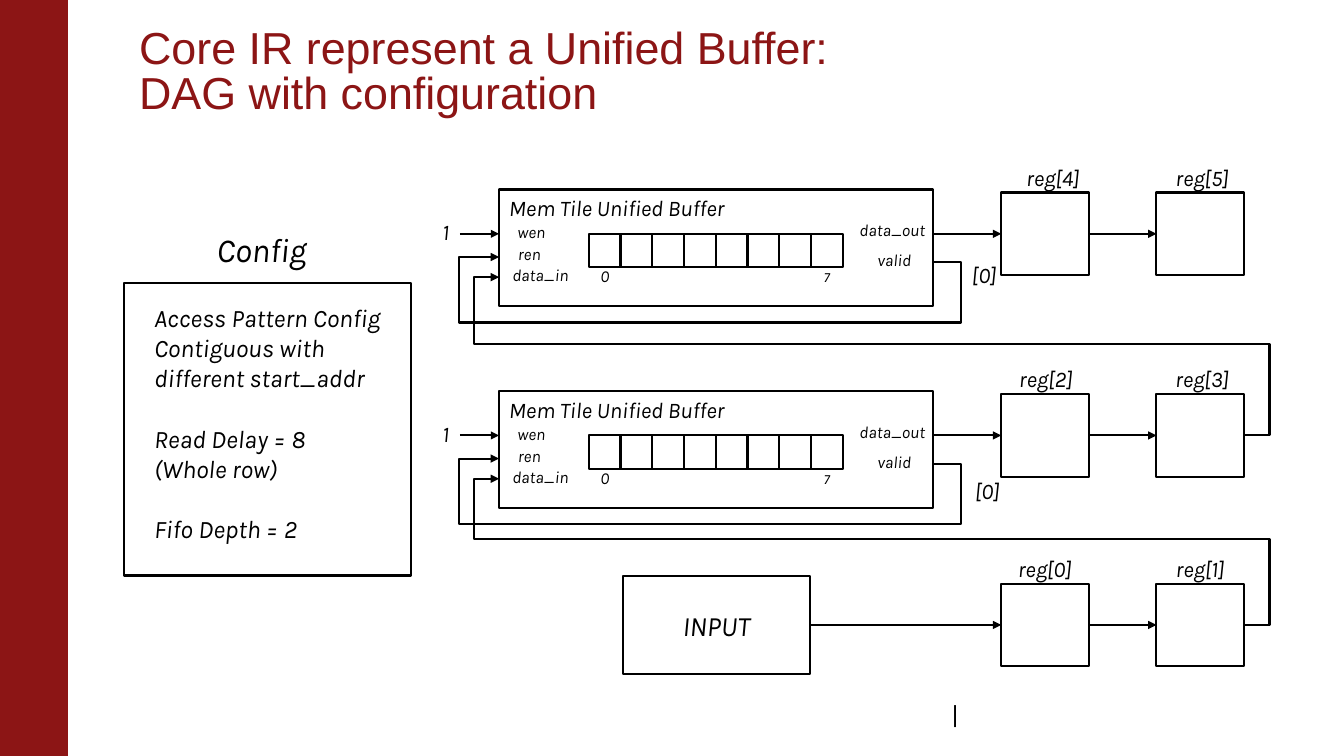
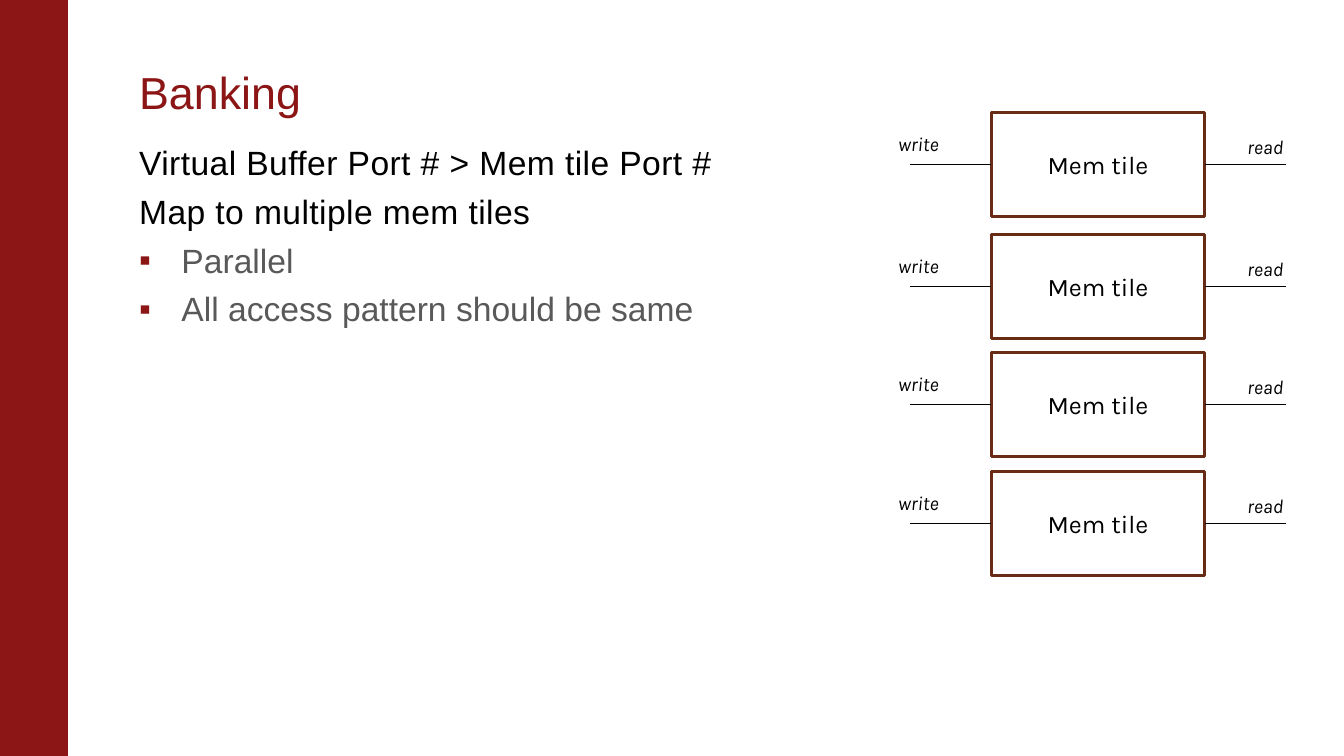
from lxml import etree
from pptx import Presentation
from pptx.dml.color import RGBColor
from pptx.enum import shapes as s, text as t
from pptx.oxml.ns import qn
from pptx.util import Inches, Pt

COLORS = {"cardinal": "8C1515", "brown": "682C16", "gray": "595959",
          "black": "000000", "white": "FFFFFF"}
SANS, DIAGRAM = "Arial", "Karla"
LEFT, CENTER = t.PP_ALIGN.LEFT, t.PP_ALIGN.CENTER
TOP, MIDDLE = t.MSO_ANCHOR.TOP, t.MSO_ANCHOR.MIDDLE

# Buffer diagram grid, in inches
BUFFER_LEFT, BUFFER_W, BUFFER_H = 4.95, 4.3, 1.16
PORT_DY = 0.44
REG_COLUMNS, REG_W, REG_H = (9.93, 11.47), 0.87, 0.82
FIFO_CELLS, CELL_LEFT, CELL_PITCH, CELL_H = 8, 5.84, 0.315, 0.33


def rgb(name):
    return RGBColor.from_string(COLORS[name])


def box(*lengths):
    return [Inches(value) for value in lengths]


# Text
def add_run(paragraph, content, size, color="black", font=DIAGRAM, italic=False):
    run = paragraph.add_run()
    run.text = content
    run.font.size, run.font.name, run.font.italic = Pt(size), font, italic
    run.font.color.rgb = rgb(color)
    return run


def write(frame, content, size, align=LEFT, anchor=TOP, italic=True, wrap=True):
    frame.word_wrap = wrap
    frame.vertical_anchor = anchor
    paragraph = frame.paragraphs[0]
    paragraph.alignment = align
    add_run(paragraph, content, size, italic=italic)


def add_text(slide, content, at, size, **style):
    label = slide.shapes.add_textbox(*box(*at))
    write(label.text_frame, content, size, **style)


def add_label(slide, content, x, y, size, w=1.0, h=0.6):
    """Label centred on the point x, y."""
    add_text(slide, content, (x - w / 2, y - h / 2, w, h), size,
             align=CENTER, anchor=MIDDLE)


# Boxes and lines
def add_box(slide, at, line="black", width=1.5, fill=None):
    rect = slide.shapes.add_shape(s.MSO_SHAPE.RECTANGLE, *box(*at))
    rect.shadow.inherit = False
    if fill:
        rect.fill.solid()
        rect.fill.fore_color.rgb = rgb(fill)
    else:
        rect.fill.background()
    rect.line.color.rgb = rgb(line)
    rect.line.width = Pt(width)
    return rect


def add_wire(slide, start, end, source=None, target=None, width=1.5,
             arrow=True, kind=s.MSO_CONNECTOR.STRAIGHT):
    """Line from start to end; source and target are (shape, side) joints."""
    wire = slide.shapes.add_connector(kind, *box(*start, *end))
    if source:
        wire.begin_connect(*source)
    if target:
        wire.end_connect(*target)
    wire.line.color.rgb = rgb("black")
    wire.line.width = Pt(width)
    properties = wire._element.spPr
    if arrow:
        etree.SubElement(properties.find(qn("a:ln")), qn("a:tailEnd"), type="triangle")
    etree.SubElement(properties, qn("a:effectLst"))
    return wire


def add_loop(slide, start, end, right, y, left):
    """Arrow that leaves to the right, runs back at y and enters from the left."""
    wire = add_wire(slide, start, end, kind=s.MSO_CONNECTOR.ELBOW)
    geometry = wire._element.spPr.find(qn("a:prstGeom"))
    geometry.set("prst", "bentConnector5")
    guides = geometry.find(qn("a:avLst"))
    if guides is None:
        guides = etree.SubElement(geometry, qn("a:avLst"))
    (x0, y0), (x1, y1) = start, end
    ratios = ((right - x0) / (x1 - x0), (y - y0) / (y1 - y0), (left - x0) / (x1 - x0))
    for number, ratio in enumerate(ratios, 1):
        etree.SubElement(guides, qn("a:gd"), name=f"adj{number}",
                         fmla=f"val {round(ratio * 100000)}")


# Shared slide parts
def add_master_band(prs, slide):
    band = add_box(slide, (0, 0, 0.67, 7.51), "cardinal", 0.75, "cardinal")
    title = prs.slide_master.placeholders[0]
    title._element.getparent().insert(2, band._element)


def place(placeholder, at):
    (placeholder.left, placeholder.top,
     placeholder.width, placeholder.height) = box(*at)
    frame = placeholder.text_frame
    frame.auto_size = t.MSO_AUTO_SIZE.NONE
    frame.word_wrap = True
    frame.margin_left = 0
    return frame


def set_title(slide, *lines):
    frame = place(slide.shapes.title, (1.38, 0.52, 11.24, 0.71))
    frame.vertical_anchor = t.MSO_ANCHOR.BOTTOM
    paragraph = frame.paragraphs[0]
    paragraph.alignment = LEFT
    paragraph.line_spacing = 0.85
    for index, line in enumerate(lines):
        if index:
            paragraph.add_line_break()
        add_run(paragraph, line, 32, "cardinal", SANS)


# Slide 1 parts
def add_config(slide):
    add_box(slide, (1.23, 2.81, 2.85, 2.9))
    add_text(slide, "Config", (2.05, 2.22, 1.09, 0.5), 24, wrap=False)
    settings = slide.shapes.add_textbox(*box(1.43, 2.95, 2.5, 2.7)).text_frame
    settings.word_wrap = True
    lines = (("Access Pattern Config", 0),
             ("Contiguous with different start_addr", 0),
             ("Read Delay = 8", 21.5), ("(Whole row)", 0),
             ("Fifo Depth = 2", 21.5))
    for index, (line, gap) in enumerate(lines):
        paragraph = settings.add_paragraph() if index else settings.paragraphs[0]
        paragraph.space_before = Pt(gap)
        add_run(paragraph, line, 18, italic=True)


def add_register_pair(slide, y, first, label_x):
    """Two linked registers on the row centred at y; returns both."""
    pair = [add_box(slide, (x, y - REG_H / 2, REG_W, REG_H)) for x in REG_COLUMNS]
    for number, x in enumerate(label_x, first):
        add_label(slide, f"reg[{number}]", x, y - 0.56, 16)
    add_wire(slide, (REG_COLUMNS[0] + REG_W, y), (REG_COLUMNS[1], y),
             (pair[0], 3), (pair[1], 1))
    return pair


def add_buffer(slide, top, register, index_at, data_from_y, data_loop_y):
    """Unified buffer with its FIFO cells, ports, output and feedback loops."""
    right = BUFFER_LEFT + BUFFER_W
    buffer = add_box(slide, (BUFFER_LEFT, top, BUFFER_W, BUFFER_H))
    write(buffer.text_frame, "Mem Tile Unified Buffer", 16)
    for cell in range(FIFO_CELLS):
        add_box(slide, (CELL_LEFT + cell * CELL_PITCH, top + PORT_DY,
                        CELL_PITCH, CELL_H))
    ports = (("wen", 5.27, 0.42, 12), ("ren", 5.25, 0.64, 12),
             ("data_in", 5.36, 0.85, 12), ("data_out", 8.85, 0.4, 12),
             ("valid", 8.87, 0.7, 12), ("0", 6.0, 0.86, 12), ("7", 8.2, 0.87, 10),
             ("1", 4.42, 0.42, 16))
    for name, x, dy, size in ports:
        add_label(slide, name, x, top + dy, size)
    add_label(slide, "[0]", *index_at, 16)

    port_y = top + PORT_DY
    add_wire(slide, (4.56, port_y), (BUFFER_LEFT, port_y))
    add_wire(slide, (right, port_y), (REG_COLUMNS[0], port_y), target=(register, 1))
    add_loop(slide, (right, top + 0.72), (BUFFER_LEFT, top + 0.67),
             9.53, top + 1.32, 4.55)
    add_loop(slide, (REG_COLUMNS[1] + REG_W, data_from_y),
             (BUFFER_LEFT, top + 0.87), 12.59, data_loop_y, 4.7)


def build_buffer_slide(slide):
    set_title(slide, "Core IR represent a Unified Buffer:", "DAG with configuration")
    add_config(slide)
    buffer_tops, input_y = (1.88, 3.88), 6.2
    row_y = [top + PORT_DY for top in buffer_tops] + [input_y]
    label_x = ((10.44, 11.92), (10.37, 11.92), (10.36, 11.9))
    pairs = [add_register_pair(slide, y, first, xs)
             for y, first, xs in zip(row_y, (4, 2, 0), label_x)]

    index_at = ((9.76, 2.72), (9.79, 4.87))
    for row, (top, loop_y) in enumerate(zip(buffer_tops, (3.41, 5.35))):
        add_buffer(slide, top, pairs[row][0], index_at[row], row_y[row + 1], loop_y)

    source = add_box(slide, (6.18, 5.71, 1.85, 0.98))
    write(source.text_frame, "INPUT", 20, CENTER, MIDDLE)
    add_wire(slide, (8.03, input_y), (REG_COLUMNS[0], input_y),
             (source, 3), (pairs[2][0], 1))
    add_text(slide, "|", (9.34, 6.89, 0.32, 0.4), 18, italic=False, wrap=False)


# Slide 2 parts
def set_bullet(properties):
    color = etree.SubElement(properties, qn("a:buClr"))
    etree.SubElement(color, qn("a:srgbClr"), val=COLORS["cardinal"])
    etree.SubElement(properties, qn("a:buFont"), typeface=SANS)
    etree.SubElement(properties, qn("a:buChar"), char="▪")


def add_points(slide):
    frame = place(slide.placeholders[1], (1.38, 1.36, 11.24, 5.45))
    frame.margin_right = 0
    points = (("Virtual Buffer Port # > Mem tile Port #", 0),
              ("Map to multiple mem tiles", 0), ("Parallel", 1),
              ("All access pattern should be same", 1))
    for index, (point, level) in enumerate(points):
        paragraph = frame.add_paragraph() if index else frame.paragraphs[0]
        paragraph.level = level
        indent = Inches(0.42 if level else 0.5)
        properties = paragraph._p.get_or_add_pPr()
        properties.set("marL", str(indent))
        properties.set("indent", str(-indent))
        if level:
            set_bullet(properties)
        else:
            etree.SubElement(properties, qn("a:buNone"))
        paragraph.space_before = Pt(6 if index else 0)
        run = add_run(paragraph, point, 24, "gray" if level else "black", SANS)
        if not level:
            run._r.get_or_add_rPr().set("spc", "30")


def add_mem_tile(slide, top):
    left, width, height = 9.83, 2.12, 1.03
    tile = add_box(slide, (left, top, width, height), "brown", 2.08, "white")
    write(tile.text_frame, "Mem tile", 18, CENTER, MIDDLE, italic=False)
    y = top + height / 2
    add_wire(slide, (9.03, y), (left, y), target=(tile, 1), width=1, arrow=False)
    add_wire(slide, (left + width, y), (12.75, y), source=(tile, 3),
             width=1, arrow=False)
    add_text(slide, "write", (8.81, top + 0.14, 0.72, 0.34), 14)
    add_text(slide, "read", (12.27, top + 0.17, 0.72, 0.34), 14)


def build_banking_slide(slide):
    set_title(slide, "Banking")
    add_points(slide)
    for top in (1.12, 2.33, 3.5, 4.68):
        add_mem_tile(slide, top)


def main():
    prs = Presentation()
    prs.slide_width, prs.slide_height = box(13.33, 7.5)
    buffer_slide = prs.slides.add_slide(prs.slide_layouts[5])
    add_master_band(prs, buffer_slide)
    build_buffer_slide(buffer_slide)
    build_banking_slide(prs.slides.add_slide(prs.slide_layouts[1]))
    prs.save("out.pptx")


if __name__ == "__main__":
    main()
